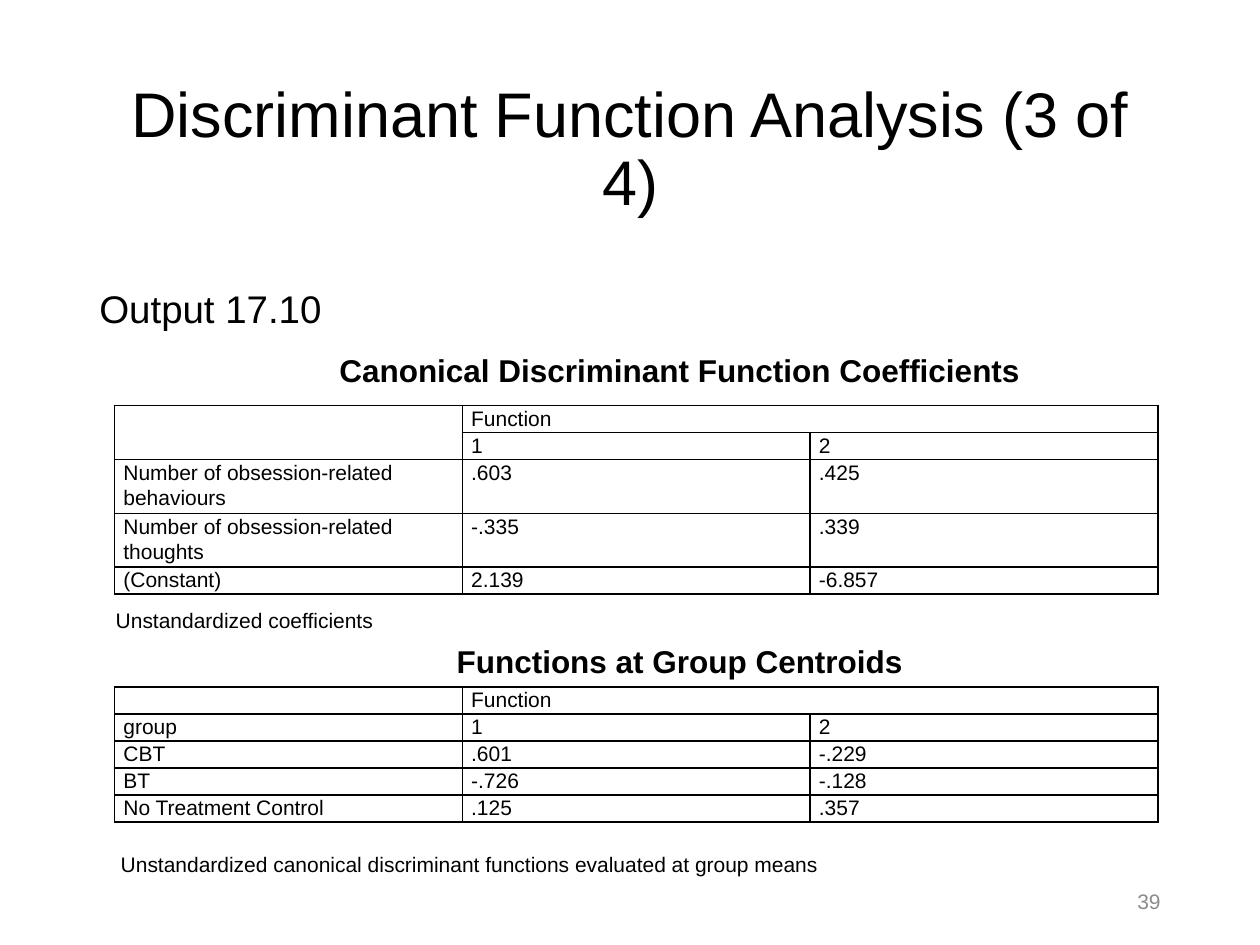
from dataclasses import dataclass

from lxml import etree
from pptx import Presentation
from pptx import util as u
from pptx.dml.color import RGBColor
from pptx.enum import text
from pptx.oxml import ns

WIDTH, HEIGHT = 10, 7.5


@dataclass(frozen=True)
class Theme:
    font: str = "Arial"
    ink: str = "000000"
    muted: str = "8C8C8C"
    title: int = 36
    body: int = 22
    heading: int = 18
    small: int = 12
    border: float = 1
    row: float = 0.214
    cell_margin: float = 0.07


THEME = Theme()
LEFT, CENTER, RIGHT = text.PP_ALIGN.LEFT, text.PP_ALIGN.CENTER, text.PP_ALIGN.RIGHT
TOP, MIDDLE = text.MSO_ANCHOR.TOP, text.MSO_ANCHOR.MIDDLE

COEFFICIENTS = [
    ["", "Function", ""],
    ["", "1", "2"],
    ["Number of obsession-related behaviours", ".603", ".425"],
    ["Number of obsession-related thoughts", "-.335", ".339"],
    ["(Constant)", "2.139", "-6.857"],
]
CENTROIDS = [
    ["", "Function", ""],
    ["group", "1", "2"],
    ["CBT", ".601", "-.229"],
    ["BT", "-.726", "-.128"],
    ["No Treatment Control", ".125", ".357"],
]


def share(left, top, width, height):
    """Turn shares of the slide's size into lengths."""
    sizes = (WIDTH, HEIGHT, WIDTH, HEIGHT)
    return [u.Inches(part * size) for part, size in zip((left, top, width, height), sizes)]


def style(para, size, color=THEME.ink, bold=False):
    para.font.name = THEME.font
    para.font.size = u.Pt(size)
    para.font.bold = bold
    para.font.color.rgb = RGBColor.from_string(color)


def add_text(page, words, place, size, align=LEFT, anchor=TOP, spacing=1.0,
             color=THEME.ink, bold=False):
    frame = page.shapes.add_textbox(*share(*place)).text_frame
    frame.word_wrap = True
    frame.vertical_anchor = anchor
    para = frame.paragraphs[0]
    para.text = words
    para.alignment = align
    para.line_spacing = spacing
    style(para, size, color, bold)


def add_borders(cell):
    properties = cell._tc.get_or_add_tcPr()
    for index, side in enumerate(("a:lnL", "a:lnR", "a:lnT", "a:lnB")):
        line = etree.Element(ns.qn(side), w=str(u.Pt(THEME.border)))
        fill = etree.SubElement(line, ns.qn("a:solidFill"))
        etree.SubElement(fill, ns.qn("a:srgbClr"), val=THEME.ink)
        properties.insert(index, line)


def fill_cell(cell, words):
    cell.fill.background()
    cell.margin_left = cell.margin_right = u.Inches(THEME.cell_margin)
    cell.margin_top = cell.margin_bottom = 0
    para = cell.text_frame.paragraphs[0]
    para.text = words
    para.line_spacing = 1.07
    style(para, THEME.small)
    if not words:
        end = etree.SubElement(para._p, ns.qn("a:endParaRPr"))
        end.set("sz", str(THEME.small * 100))
    add_borders(cell)


def add_grid(page, rows, top, line_counts, merges):
    """Add a ruled table; line_counts gives the text lines in each row."""
    place = share(0.091, top, 0.828, sum(line_counts) * THEME.row / HEIGHT)
    table = page.shapes.add_table(len(rows), len(rows[0]), *place).table
    table.first_row = table.horz_banding = False
    for row, lines in zip(table.rows, line_counts):
        row.height = u.Inches(lines * THEME.row)
    for r, values in enumerate(rows):
        for c, words in enumerate(values):
            fill_cell(table.cell(r, c), words)
    for first, last in merges:
        table.cell(*first).merge(table.cell(*last))


def add_heading(page, words, top):
    add_text(page, words, (0.159, top, 0.761, 0.054), THEME.heading, CENTER, bold=True)


def add_note(page, words, left, top):
    add_text(page, words, (left, top, 0.761, 0.04), THEME.small)


def main():
    deck = Presentation()
    deck.slide_width, deck.slide_height = u.Inches(WIDTH), u.Inches(HEIGHT)
    page = deck.slides.add_slide(deck.slide_layouts[6])
    function_span = ((0, 1), (0, 2))

    add_text(page, "Discriminant Function Analysis (3 of 4)",
             (0.069, 0.063, 0.862, 0.193), THEME.title, CENTER, MIDDLE, spacing=0.9)
    add_text(page, "Output 17.10", (0.069, 0.295, 0.862, 0.093), THEME.body)

    add_heading(page, "Canonical Discriminant Function Coefficients", 0.365)
    add_grid(page, COEFFICIENTS, 0.429, (1, 1, 2, 2, 1), [((0, 0), (1, 0)), function_span])
    add_note(page, "Unstandardized coefficients", 0.082, 0.636)

    add_heading(page, "Functions at Group Centroids", 0.673)
    add_grid(page, CENTROIDS, 0.727, (1, 1, 1, 1, 1), [function_span])
    add_note(page, "Unstandardized canonical discriminant functions evaluated at group means",
             0.086, 0.895)

    add_text(page, "39", (0.706, 0.927, 0.225, 0.053), THEME.small, RIGHT, MIDDLE,
             color=THEME.muted)
    deck.save("out.pptx")


if __name__ == "__main__":
    main()
